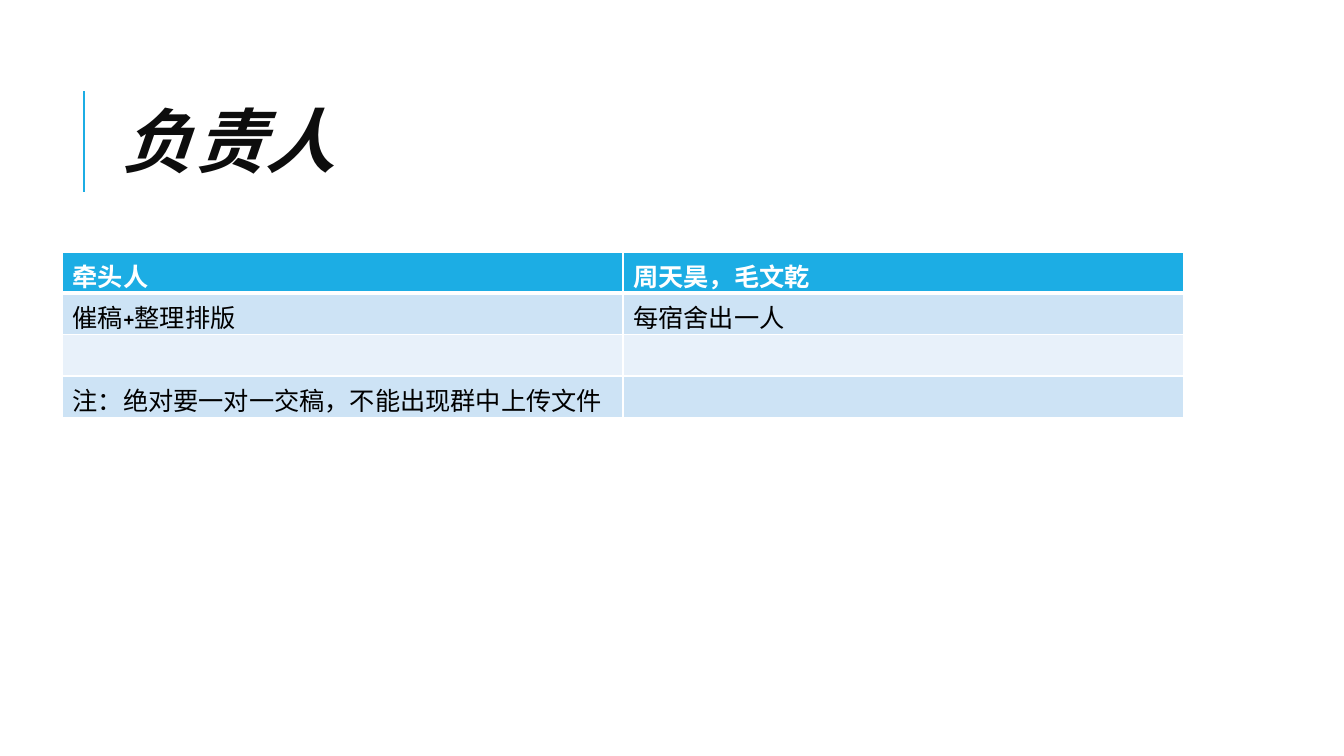
from lxml import etree
from pptx import Presentation
from pptx import util as u
from pptx.dml.color import RGBColor
from pptx.enum import shapes, text
from pptx.oxml.ns import qn

# Content
TITLE = "负责人"
ROWS = [
    ("牵头人", "周天昊，毛文乾"),
    ("催稿+整理排版", "每宿舍出一人"),
    ("", ""),
    ("注：绝对要一对一交稿，不能出现群中上传文件", ""),
]
HUES = {"accent": "1CADE4", "title": "0D0D0D", "text": "000000",
        "white": "FFFFFF", "odd": "CDE3F5", "even": "E8F1FA"}

# Layout in inches
WIDE, HIGH = 13.33, 7.5
COL, ROW = 5.56, 0.41
HEAD = (1.12, 0.64, 10.63, 1.64)
RULE = (0.83, 1.9, 0.83, 0.9)


def inch(*sizes):
    return [u.Inches(size) for size in sizes]


def hue(name):
    return RGBColor.from_string(HUES[name])


def write(para, words, size, font, tint, bold):
    run = para.add_run()
    run.text = words
    run.font.size = u.Pt(size)
    run.font.name = font
    run.font.bold = bold
    run.font.color.rgb = hue(tint)
    return run


def edge(cell, side, width):
    line = etree.Element(qn("a:" + side), w=str(u.Pt(width)))
    fill = etree.SubElement(line, qn("a:solidFill"))
    etree.SubElement(fill, qn("a:srgbClr"), val=HUES["white"])
    return line


deck = Presentation()
deck.slide_width, deck.slide_height = inch(WIDE, HIGH)
slide = deck.slides.add_slide(deck.slide_layouts[6])

# Accent rule beside the title
rule = slide.shapes.add_connector(shapes.MSO_CONNECTOR.STRAIGHT, *inch(*RULE))
rule.line.color.rgb = hue("accent")
rule.line.width = u.Pt(1.5)
etree.SubElement(rule.line._get_or_add_ln().getparent(), qn("a:effectLst"))

# Title
frame = slide.shapes.add_textbox(*inch(*HEAD)).text_frame
frame.word_wrap = True
frame.vertical_anchor = text.MSO_ANCHOR.MIDDLE
para = frame.paragraphs[0]
para.line_spacing = 0.8
run = write(para, TITLE, 50, "Calibri", "title", True)
run.font.italic = True
run.font._element.set("spc", "100")

# Table
grid = slide.shapes.add_table(len(ROWS), 2,
                              *inch(0.62, 2.5, 2 * COL, len(ROWS) * ROW)).table
for r, row in enumerate(ROWS):
    top = r == 0
    for c, words in enumerate(row):
        cell = grid.cell(r, c)
        cell.fill.solid()
        cell.fill.fore_color.rgb = hue("accent" if top else "odd" if r % 2 else "even")
        if words:
            write(cell.text_frame.paragraphs[0], words, 18, "Cabin",
                  "white" if top else "text", top)
        # White borders, thicker below the header
        props = cell._tc.get_or_add_tcPr()
        widths = {"lnL": 1, "lnR": 1, "lnT": 3 if r == 1 else 1, "lnB": 3 if top else 1}
        for spot, (side, width) in enumerate(widths.items()):
            props.insert(spot, edge(cell, side, width))

deck.save("out.pptx")
